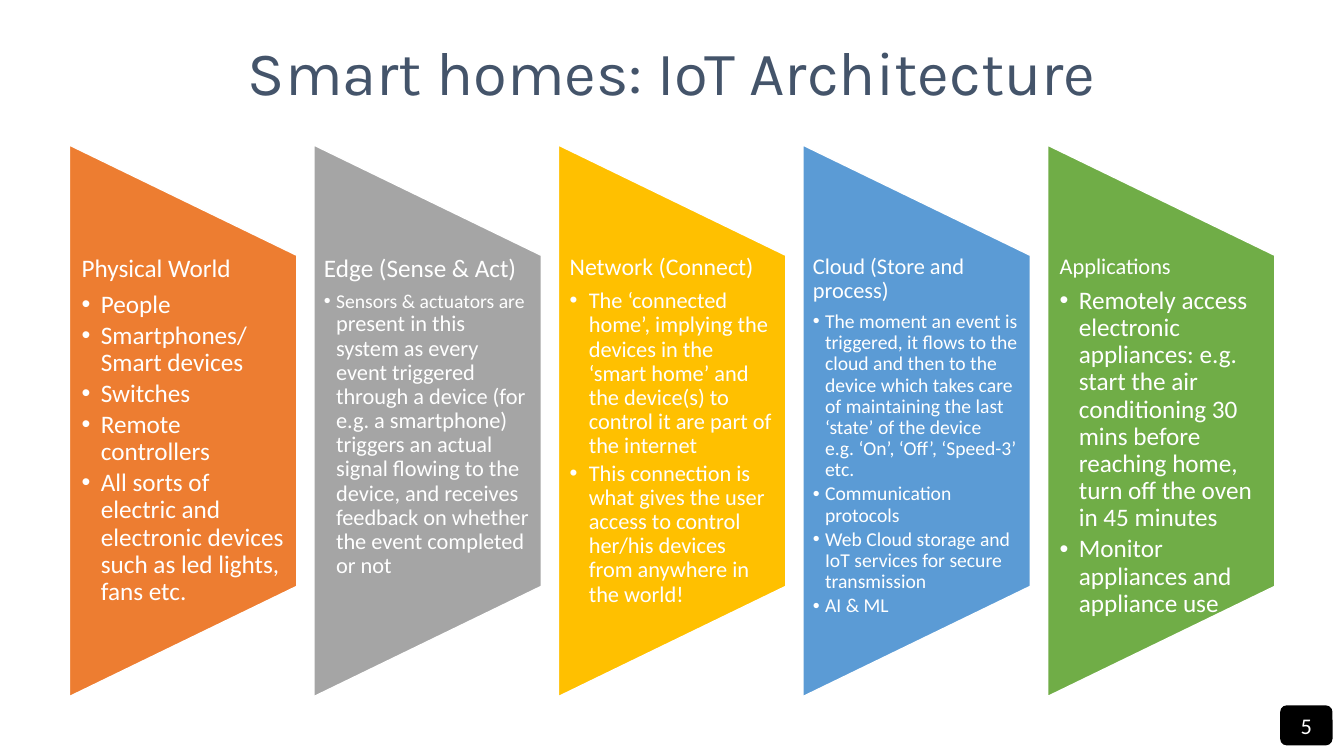
import pptx
import pptx.dml.color
import pptx.enum.shapes
import pptx.enum.text
import pptx.oxml.ns
import pptx.util
from lxml import etree

SHAPES = pptx.enum.shapes.MSO_SHAPE
ALIGN = pptx.enum.text.PP_ALIGN
ANCHOR = pptx.enum.text.MSO_ANCHOR

LAYERS = [
    {"color": "ED7D31", "heading": "Physical World", "heading_size": 18, "inset": 0.12, "indent": 0.19,
     "points": [[("People", 18)], [("Smartphones/ Smart devices", 18)], [("Switches", 18)],
                [("Remote controllers", 18)],
                [("All sorts of electric and electronic devices such as led lights, fans etc.", 18)]]},
    {"color": "A5A5A5", "heading": "Edge (Sense & Act)", "heading_size": 18, "inset": 0.1, "indent": 0.12,
     "points": [[("Sensors & actuators are ", 14),
                 ("present in this system as every event triggered through a device (for e.g. a smartphone) "
                  "triggers an actual signal flowing to the device, and receives feedback on whether "
                  "the event completed or not", 16)]]},
    {"color": "FFC000", "heading": "Network (Connect)", "heading_size": 17, "inset": 0.11, "indent": 0.19,
     "points": [[("The ‘connected home’, implying the devices in the ‘smart home’ and the device(s) "
                  "to control it are part of the internet", 16)],
                [("This connection is what gives the user access to control her/his devices "
                  "from anywhere in the world!", 16)]]},
    {"color": "5B9BD5", "heading": "Cloud (Store and process)", "heading_size": 16, "inset": 0.1, "indent": 0.12,
     "points": [[("The moment an event is triggered, it flows to the cloud and then to the device which "
                  "takes care of maintaining the last ‘state’ of the device\n"
                  "e.g. ‘On’, ‘Off’, ‘Speed-3’ etc.", 14)],
                [("Communication protocols", 14)],
                [("Web Cloud storage and IoT services for secure transmission", 14)],
                [("AI & ML", 14)]]},
    {"color": "70AD47", "heading": "Applications", "heading_size": 16, "inset": 0.12, "indent": 0.19,
     "points": [[("Remotely access electronic appliances: e.g. start the air conditioning 30 mins before "
                  "reaching home, turn off the oven in 45 minutes", 18)],
                [("Monitor appliances and appliance use", 18)]]},
]


def rgb(code):
    return pptx.dml.color.RGBColor.from_string(code)


def write(paragraph, pieces, font="Calibri", color="FFFFFF", align=ALIGN.LEFT,
          line_spacing=0.9, after=0, indent=0):
    paragraph.alignment = align
    paragraph.line_spacing = line_spacing
    paragraph.space_before = pptx.util.Pt(0)
    paragraph.space_after = pptx.util.Pt(after)
    for words, size in pieces:
        for number, line in enumerate(words.split("\n")):
            if number:
                paragraph.add_line_break()
            run = paragraph.add_run()
            run.text = line
            run.font.name = font
            run.font.size = pptx.util.Pt(size)
            run.font.color.rgb = rgb(color)
    if indent:
        properties = paragraph._p.get_or_add_pPr()
        hang = pptx.util.Inches(indent)
        properties.set("marL", str(hang))
        properties.set("indent", str(-hang))
        for tag, key, value in (("a:buFont", "typeface", "Arial"), ("a:buChar", "char", "•")):
            etree.SubElement(properties, pptx.oxml.ns.qn(tag)).set(key, value)


class ArchitectureSlide:
    """Holds the grid, the style and the current slide."""

    LEFT, TOP = 0.69, 1.44
    COLUMN, ROW = 2.425, 1.094
    PANEL_SHARE = 0.93

    def __init__(self, deck):
        self.width, self.height = deck.slide_width, deck.slide_height
        self.slide = deck.slides.add_slide(deck.slide_layouts[5])

    def cell(self, column, row, rows):
        return [pptx.util.Inches(length) for length in (
            self.LEFT + column * self.COLUMN, self.TOP + row * self.ROW,
            self.PANEL_SHARE * self.COLUMN, rows * self.ROW)]

    def share(self, left, top, width, height):
        return (int(left * self.width), int(top * self.height),
                int(width * self.width), int(height * self.height))

    def title(self, words):
        heading = self.slide.shapes.title
        heading.left, heading.top, heading.width, heading.height = self.share(0.069, 0.003, 0.8625, 0.193)
        heading.text_frame.vertical_anchor = ANCHOR.MIDDLE
        write(heading.text_frame.paragraphs[0], [(words, 44)], font="Karla", color="44546A", align=ALIGN.CENTER)

    def shape(self, kind, box, fill, line=None):
        body = self.slide.shapes.add_shape(kind, *box)
        body.shadow.inherit = False
        body.fill.solid()
        body.fill.fore_color.rgb = rgb(fill)
        if line:
            body.line.color.rgb = rgb(line)
            body.line.width = pptx.util.Pt(1)
        else:
            body.line.fill.background()
        return body

    def panel(self, column, color):
        left, top, width, height = self.cell(column, 0, 5)
        shift = (height - width) // 2
        box = (left - shift, top + shift, height, width)
        self.shape(SHAPES.FLOWCHART_MANUAL_OPERATION, box, color, line="FFFFFF").rotation = 270

    def layer_text(self, column, layer):
        frame = self.slide.shapes.add_textbox(*self.cell(column, 1, 3)).text_frame
        frame.word_wrap = True
        frame.margin_left = frame.margin_right = pptx.util.Inches(layer["inset"])
        frame.margin_top = frame.margin_bottom = 0
        size = layer["heading_size"]
        write(frame.paragraphs[0], [(layer["heading"], size)], after=0.35 * size)
        for point in layer["points"]:
            write(frame.add_paragraph(), point, after=0.15 * point[-1][1], indent=layer["indent"])

    def page_number(self, number):
        badge = self.shape(SHAPES.ROUNDED_RECTANGLE, self.share(0.9525, 0.933, 0.039, 0.053), "000000")
        badge.text_frame.vertical_anchor = ANCHOR.MIDDLE
        write(badge.text_frame.paragraphs[0], [(number, 16)], align=ALIGN.CENTER, line_spacing=1)


def main():
    deck = pptx.Presentation()
    deck.slide_width, deck.slide_height = pptx.util.Inches(13.33), pptx.util.Inches(7.5)
    page = ArchitectureSlide(deck)
    page.page_number("5")
    page.title("Smart homes: IoT Architecture")
    for column, layer in enumerate(LAYERS):
        page.panel(column, layer["color"])
        page.layer_text(column, layer)
    deck.save("out.pptx")


if __name__ == "__main__":
    main()
